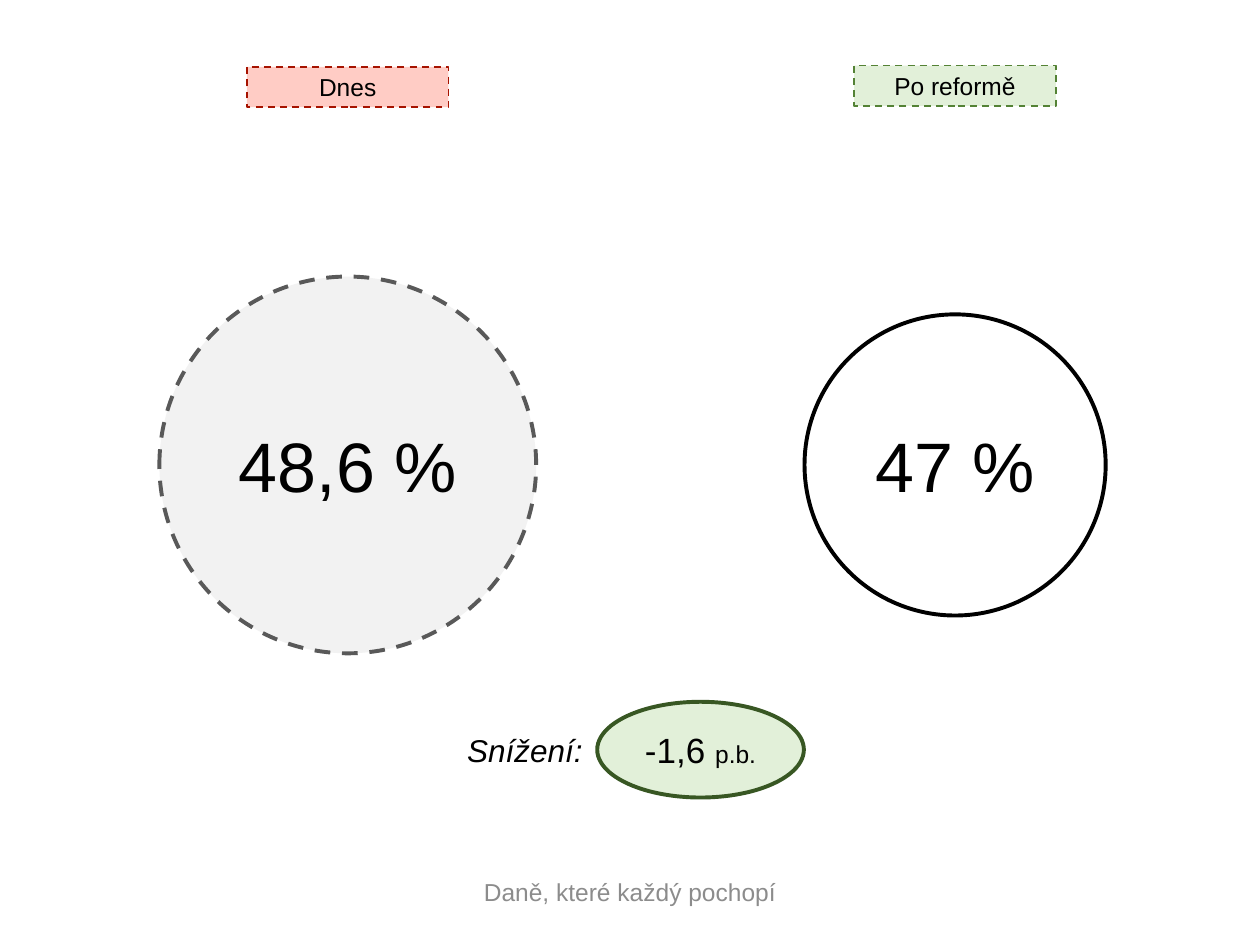
from pptx import Presentation
from pptx.dml.color import RGBColor
from pptx.enum.dml import MSO_LINE
from pptx.enum.shapes import MSO_SHAPE
from pptx.enum.text import MSO_ANCHOR, PP_ALIGN
from pptx.util import Inches, Pt

RECT, OVAL = MSO_SHAPE.RECTANGLE, MSO_SHAPE.OVAL
DASH = MSO_LINE.DASH
MIDDLE, TOP = MSO_ANCHOR.MIDDLE, MSO_ANCHOR.TOP
CENTER, LEFT = PP_ALIGN.CENTER, PP_ALIGN.LEFT

BLACK = RGBColor(0x00, 0x00, 0x00)
WHITE = RGBColor(0xFF, 0xFF, 0xFF)
FOOTER_GRAY = RGBColor(0x8C, 0x8C, 0x8C)
LIGHT_GRAY = RGBColor(0xF2, 0xF2, 0xF2)
DARK_GRAY = RGBColor(0x59, 0x59, 0x59)
LIGHT_RED = RGBColor(0xFF, 0xCC, 0xC5)
DARK_RED = RGBColor(0xA6, 0x13, 0x00)
LIGHT_GREEN = RGBColor(0xE2, 0xF0, 0xD9)
GREEN = RGBColor(0x54, 0x82, 0x35)
DARK_GREEN = RGBColor(0x38, 0x57, 0x23)

TODAY_X, REFORM_X = 2.76, 7.58
CIRCLE_Y = 3.69


def write(shape, parts, color=BLACK, align=CENTER, anchor=MIDDLE, italic=False):
    """Write (text, size) parts as runs of one paragraph."""
    tf = shape.text_frame
    tf.vertical_anchor = anchor
    p = tf.paragraphs[0]
    p.alignment = align
    for text, size in parts:
        r = p.add_run()
        r.text = text
        r.font.name = "Arial"
        r.font.size = Pt(size)
        r.font.italic = italic
        r.font.color.rgb = color


def add_label(s, box, text, size, wrap=True, **style):
    """Add a plain text box."""
    label = s.shapes.add_textbox(*map(Inches, box))
    label.text_frame.word_wrap = wrap
    write(label, [(text, size)], **style)


def add_outlined(s, kind, center, size, fill, line, width, parts, dash=None):
    """Add a filled, outlined shape around a centre point."""
    (x, y), (w, h) = center, size
    box = (x - w / 2, y - h / 2, w, h)
    shape = s.shapes.add_shape(kind, *map(Inches, box))
    shape.shadow.inherit = False
    shape.fill.solid()
    shape.fill.fore_color.rgb = fill
    shape.line.color.rgb = line
    shape.line.width = Pt(width)
    shape.line.dash_style = dash
    write(shape, parts)
    return shape


def add_tag(s, center, text, fill, line):
    """Add a dashed column heading."""
    add_outlined(s, RECT, center, (1.6, 0.32), fill, line, 1, [(text, 14)], DASH)


def add_bubble(s, center, size, fill, line, parts, dash=None, inset=0.05):
    """Add an ellipse holding a figure."""
    tf = add_outlined(s, OVAL, center, size, fill, line, 2.25, parts, dash).text_frame
    tf.margin_left = tf.margin_right = 0
    tf.margin_top = tf.margin_bottom = Inches(inset)


def main():
    """Build and save the tax comparison slide."""
    prs = Presentation()
    prs.slide_width, prs.slide_height = Inches(10), Inches(7.5)
    s = prs.slides.add_slide(prs.slide_layouts[6])

    add_label(s, (2.53, 6.88, 4.94, 0.4), "Daně, které každý pochopí", 14, color=FOOTER_GRAY)
    add_tag(s, (TODAY_X, 0.69), "Dnes", LIGHT_RED, DARK_RED)
    add_bubble(s, (TODAY_X, CIRCLE_Y), (2.99, 2.99), LIGHT_GRAY, DARK_GRAY,
               [("48,6 %", 40)], DASH)
    add_bubble(s, (5.56, 5.95), (1.64, 0.76), LIGHT_GREEN, DARK_GREEN,
               [("-1,6 ", 20), ("p.b.", 14)], inset=0)
    add_label(s, (3.61, 5.75, 1.13, 0.4), "Snížení:", 18, wrap=False,
              align=LEFT, anchor=TOP, italic=True)
    add_bubble(s, (REFORM_X, CIRCLE_Y), (2.39, 2.39), WHITE, BLACK, [("47 %", 40)])
    add_tag(s, (REFORM_X, 0.68), "Po reformě", LIGHT_GREEN, GREEN)
    prs.save("out.pptx")


if __name__ == "__main__":
    main()
